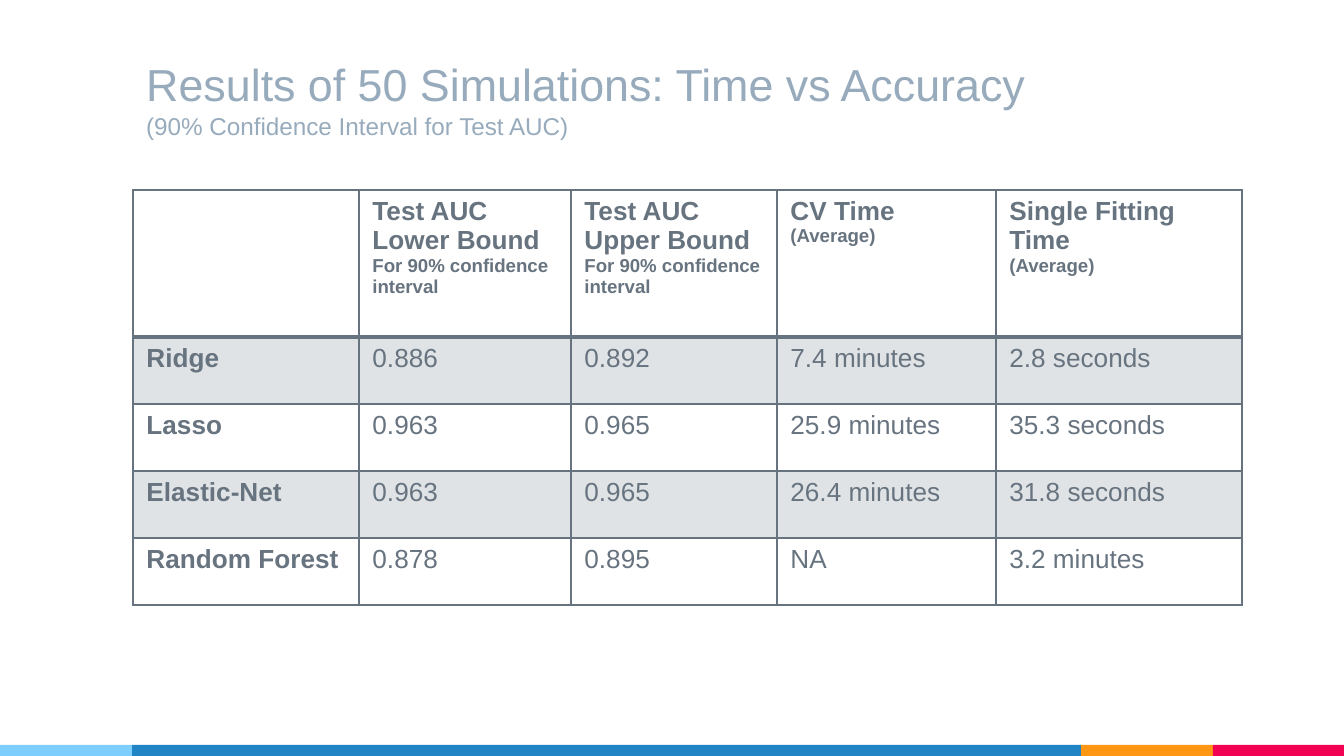
from lxml import etree
from pptx import Presentation
from pptx.dml.color import RGBColor
from pptx.enum.shapes import MSO_SHAPE
from pptx.oxml.ns import qn
from pptx.util import Pt

RECTANGLE = MSO_SHAPE.RECTANGLE
FONT = "Arial"
SLATE = "677480"
TITLE_COLOR = "97ABBC"
BAND_ALPHA = 20

# Content: (text, point size) lines for the title and the header cells
TITLE = [("Results of 50 Simulations: Time vs Accuracy", 24),
         ("(90% Confidence Interval for Test AUC)", 13)]
HEADER = [
    [("", 14)],
    [("Test AUC", 14), ("Lower Bound", 14), ("For 90% confidence interval", 10)],
    [("Test AUC", 14), ("Upper Bound", 14), ("For 90% confidence interval", 10)],
    [("CV Time", 14), ("(Average)", 10)],
    [("Single Fitting Time", 14), ("(Average)", 10)],
]
RESULTS = [
    ("Ridge", "0.886", "0.892", "7.4 minutes", "2.8 seconds"),
    ("Lasso", "0.963", "0.965", "25.9 minutes", "35.3 seconds"),
    ("Elastic-Net", "0.963", "0.965", "26.4 minutes", "31.8 seconds"),
    ("Random Forest", "0.878", "0.895", "NA", "3.2 minutes"),
]

# Layout in px
SLIDE_WIDTH, SLIDE_HEIGHT = 1344, 756
TITLE_BOX = (133, 46, 1015, 144)
TABLE_LEFT, TABLE_TOP = 133, 190
COLUMN_WIDTHS = [226, 212, 206, 219, 246]
ROW_HEIGHTS = [147] + [67] * len(RESULTS)
STRIPE_HEIGHT = 11
STRIPES = [("7ECEFD", 132), ("2185C5", 949), ("FF9715", 132), ("F20253", 131)]


def px(value):
    return round(value * 914400 / 134.4)


def rgb(color):
    return RGBColor.from_string(color)


def write_lines(text_frame, lines, color, bold=False):
    text_frame.word_wrap = True
    for index, (text, size) in enumerate(lines):
        paragraph = text_frame.paragraphs[0] if index == 0 else text_frame.add_paragraph()
        paragraph.text = text
        font = paragraph.font
        font.name, font.size, font.bold = FONT, Pt(size), bold
        font.color.rgb = rgb(color)


def set_borders(cell, top, bottom):
    properties = cell._tc.get_or_add_tcPr()
    for side, width in (("L", 1), ("R", 1), ("T", top), ("B", bottom)):
        line = etree.SubElement(properties, qn(f"a:ln{side}"), w=str(Pt(width)))
        fill = etree.SubElement(line, qn("a:solidFill"))
        etree.SubElement(fill, qn("a:srgbClr"), val=SLATE)


def fill_cell(cell, shaded):
    if not shaded:
        cell.fill.background()
        return
    cell.fill.solid()
    cell.fill.fore_color.rgb = rgb(SLATE)
    color = cell._tc.tcPr.find(qn("a:solidFill")).find(qn("a:srgbClr"))
    etree.SubElement(color, qn("a:alpha"), val=str(BAND_ALPHA * 1000))


presentation = Presentation()
presentation.slide_width = px(SLIDE_WIDTH)
presentation.slide_height = px(SLIDE_HEIGHT)
slide = presentation.slides.add_slide(presentation.slide_layouts[6])

# Coloured stripe along the bottom edge
left = 0
for color, width in STRIPES:
    stripe = slide.shapes.add_shape(RECTANGLE, px(left), px(SLIDE_HEIGHT - STRIPE_HEIGHT),
                                    px(width), px(STRIPE_HEIGHT))
    stripe.shadow.inherit = False
    stripe.fill.solid()
    stripe.fill.fore_color.rgb = rgb(color)
    stripe.line.fill.background()
    left += width

# Results table
table = slide.shapes.add_table(len(ROW_HEIGHTS), len(COLUMN_WIDTHS), px(TABLE_LEFT), px(TABLE_TOP),
                               px(sum(COLUMN_WIDTHS)), px(sum(ROW_HEIGHTS))).table
for column, width in zip(table.columns, COLUMN_WIDTHS):
    column.width = px(width)
for row, height in zip(table.rows, ROW_HEIGHTS):
    row.height = px(height)

body = [[[(text, 14)] for text in result] for result in RESULTS]
for row_index, row_cells in enumerate([HEADER] + body):
    for column_index, lines in enumerate(row_cells):
        cell = table.cell(row_index, column_index)
        write_lines(cell.text_frame, lines, SLATE, bold=row_index == 0 or column_index == 0)
        set_borders(cell, top=2 if row_index == 1 else 1, bottom=2 if row_index == 0 else 1)
        fill_cell(cell, shaded=row_index % 2 == 1)

# Title and subtitle
title = slide.shapes.add_textbox(*map(px, TITLE_BOX))
title.text_frame.margin_top = px(11)
write_lines(title.text_frame, TITLE, TITLE_COLOR)

presentation.save("out.pptx")
